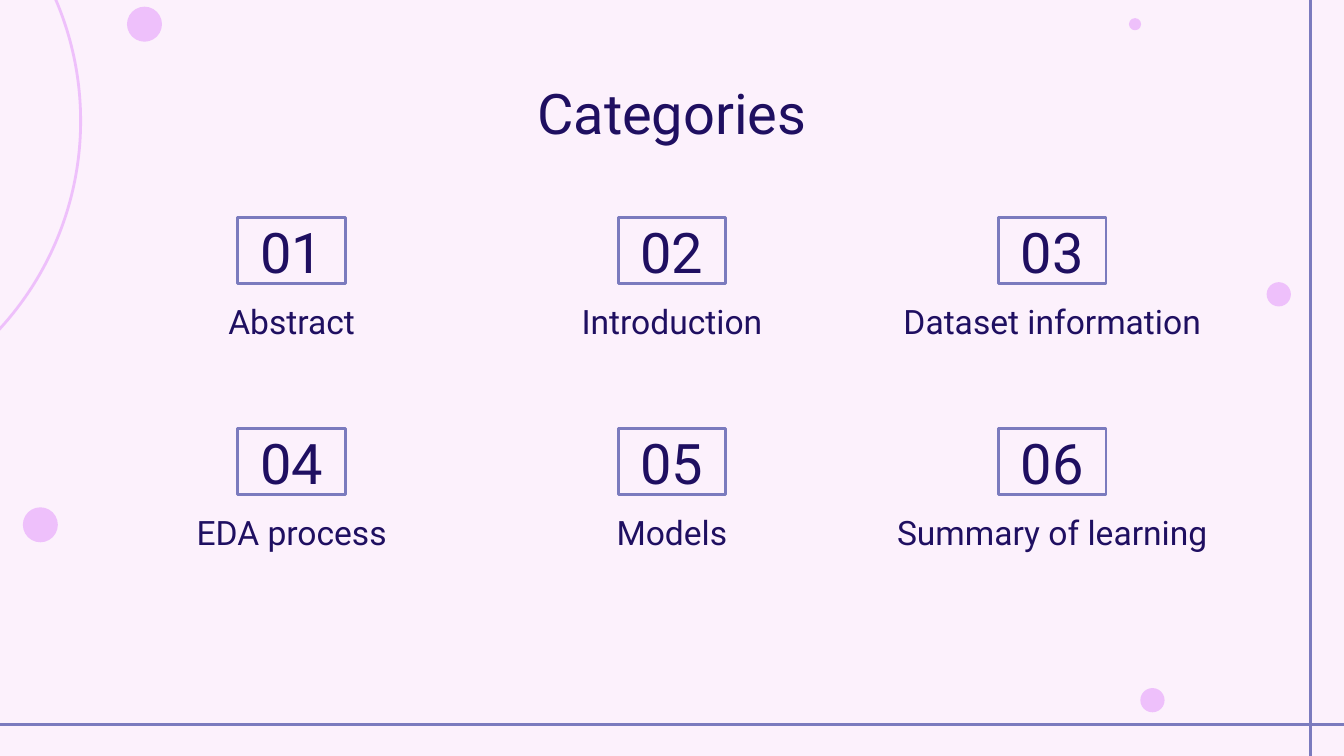
from dataclasses import dataclass

from lxml.etree import SubElement
from pptx import Presentation
from pptx.dml.color import RGBColor
from pptx.enum.shapes import MSO_CONNECTOR as Connector, MSO_SHAPE as Preset
from pptx.enum.text import MSO_ANCHOR as Anchor, PP_ALIGN as Align
from pptx.oxml.ns import qn
from pptx.util import Pt

EMU_PER_PX = 4572
SLIDE_WIDTH, SLIDE_HEIGHT = 2000, 1125
FONT = "Roboto"
COLORS = {"background": "FCF1FC", "bubble": "EEC0FB", "frame": "7B7BBE", "text": "1F0F61"}

COLUMN_CENTERS = (434, 1000, 1566)
ROW_TOPS = (324, 638)
NUMBER_WIDTH, LABEL_WIDTH, ITEM_HEIGHT = 160, 554, 98
LABEL_OFFSET = 104
TEXT_INSET = 20


@dataclass(frozen=True)
class Area:
    left: int
    top: int
    width: int
    height: int

    def emu(self) -> tuple[int, ...]:
        return tuple(px(side) for side in (self.left, self.top, self.width, self.height))


@dataclass(frozen=True)
class Circle:
    left: int
    top: int
    size: int
    line_width: float = 0.75
    filled: bool = True


@dataclass(frozen=True)
class Rule:
    start: tuple[int, int]
    end: tuple[int, int]


CIRCLES = (
    Circle(-796, -278, 916, line_width=1.5, filled=False),
    Circle(190, 11, 50),
    Circle(1698, 1025, 34),
    Circle(1681, 28, 16),
    Circle(1886, 421, 34),
    Circle(35, 756, 50),
)
RULES = (Rule((1950, 0), (1950, SLIDE_HEIGHT)), Rule((0, 1078), (SLIDE_WIDTH, 1078)))
CATEGORIES = (
    "Abstract",
    "Introduction",
    "Dataset information",
    "EDA process",
    "Models",
    "Summary of learning",
)


def px(length: int) -> int:
    return length * EMU_PER_PX


def color(name: str) -> RGBColor:
    return RGBColor.from_string(COLORS[name])


def set_line(shape, name: str, width: float) -> None:
    shape.line.color.rgb = color(name)
    shape.line.width = Pt(width)


def write(shape, text: str, size: int, anchor: Anchor = Anchor.TOP) -> None:
    frame = shape.text_frame
    frame.word_wrap = True
    frame.vertical_anchor = anchor
    frame.margin_left = frame.margin_right = px(TEXT_INSET)
    frame.margin_top = frame.margin_bottom = px(TEXT_INSET)
    frame.text = text
    para = frame.paragraphs[0]
    para.alignment = Align.CENTER
    para.font.name = FONT
    para.font.size = Pt(size)
    para.font.color.rgb = color("text")


def draw_circle(page, circle: Circle) -> None:
    area = Area(circle.left, circle.top, circle.size, circle.size)
    shape = page.shapes.add_shape(Preset.OVAL, *area.emu())
    shape.shadow.inherit = False
    if circle.filled:
        shape.fill.solid()
        shape.fill.fore_color.rgb = color("bubble")
    else:
        shape.fill.background()
    set_line(shape, "bubble", circle.line_width)


def draw_rule(page, rule: Rule) -> None:
    ends = (px(position) for position in rule.start + rule.end)
    connector = page.shapes.add_connector(Connector.STRAIGHT, *ends)
    set_line(connector, "frame", 1.5)
    SubElement(connector.element.spPr, qn("a:effectLst"))


def draw_title(page, text: str) -> None:
    title = page.shapes.title
    title.left, title.top, title.width, title.height = Area(157, 97, 1686, 126).emu()
    write(title, text, 30)


def draw_category(page, index: int, label: str) -> None:
    row, column = divmod(index, len(COLUMN_CENTERS))
    center, top = COLUMN_CENTERS[column], ROW_TOPS[row]

    number_area = Area(center - NUMBER_WIDTH // 2, top, NUMBER_WIDTH, ITEM_HEIGHT)
    number = page.shapes.add_shape(Preset.RECTANGLE, *number_area.emu())
    number.shadow.inherit = False
    number.fill.background()
    set_line(number, "frame", 1.5)
    write(number, f"{index + 1:02d}", 30, Anchor.MIDDLE)

    label_area = Area(center - LABEL_WIDTH // 2, top + LABEL_OFFSET, LABEL_WIDTH, ITEM_HEIGHT)
    write(page.shapes.add_textbox(*label_area.emu()), label, 18)


def main() -> None:
    deck = Presentation()
    deck.slide_width, deck.slide_height = px(SLIDE_WIDTH), px(SLIDE_HEIGHT)
    page = deck.slides.add_slide(deck.slide_layouts[5])
    page.background.fill.solid()
    page.background.fill.fore_color.rgb = color("background")

    for circle in CIRCLES:
        draw_circle(page, circle)
    for rule in RULES:
        draw_rule(page, rule)
    draw_title(page, "Categories")
    for index, label in enumerate(CATEGORIES):
        draw_category(page, index, label)

    deck.save("out.pptx")


if __name__ == "__main__":
    main()
